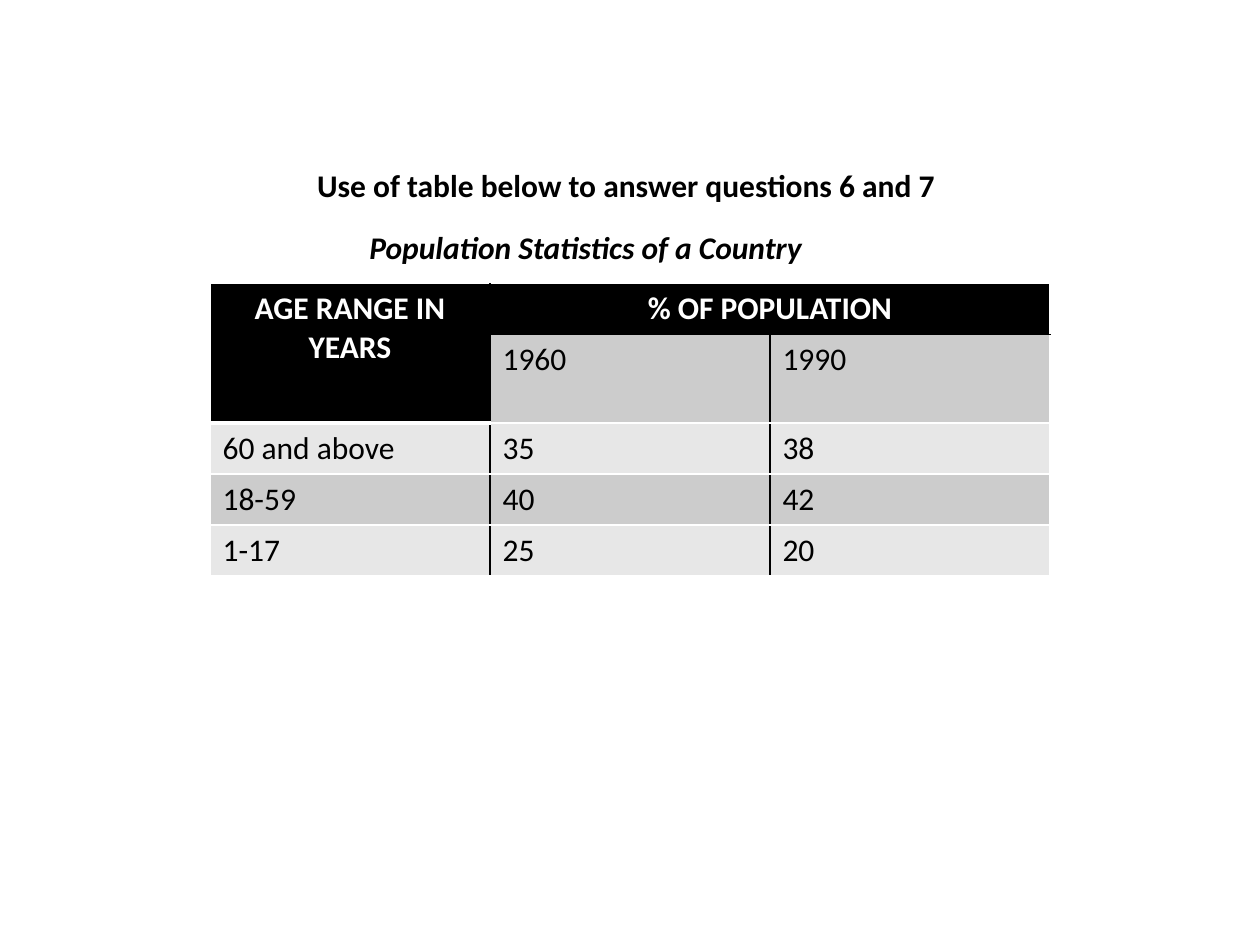
from dataclasses import dataclass

from lxml.etree import SubElement
from pptx import Presentation
from pptx.dml.color import RGBColor as Rgb
from pptx.enum.text import MSO_ANCHOR as Anchor, MSO_AUTO_SIZE as AutoSize, PP_ALIGN as Align
from pptx.oxml.ns import qn
from pptx.util import Pt


@dataclass(frozen=True)
class Theme:
    font: str = "Calibri"
    size: float = 18
    black: str = "000000"
    white: str = "FFFFFF"
    dark_band: str = "CCCCCC"
    light_band: str = "E7E7E7"
    rule: float = 1
    heavy_rule: float = 3


AGE_HEADING = "AGE RANGE IN YEARS"
SHARE_HEADING = "% OF POPULATION"
POPULATION = [
    [AGE_HEADING, SHARE_HEADING, ""],
    ["", "1960", "1990"],
    ["60 and above", "35", "38"],
    ["18-59", "40", "42"],
    ["1-17", "25", "20"],
]
ROW_HEIGHTS = [29.2, 49.5, 29.2, 29.2, 29.2]
COLUMN_WIDTH = 160


def write(frame, text, *, theme, color, bold=False, italic=False, align=Align.LEFT):
    paragraph = frame.paragraphs[0]
    paragraph.alignment = align
    run = paragraph.add_run()
    run.text = text
    font = run.font
    font.name, font.size = theme.font, Pt(theme.size)
    font.bold, font.italic = bold, italic
    font.color.rgb = Rgb.from_string(color)


class SlideBuilder:
    def __init__(self, slide, theme):
        self.slide, self.theme = slide, theme

    def _caption(self, shape, text, left, top, width, height, italic=False):
        shape.left, shape.top = Pt(left), Pt(top)
        shape.width, shape.height = Pt(width), Pt(height)
        frame = shape.text_frame
        frame.word_wrap = False
        frame.auto_size = AutoSize.SHAPE_TO_FIT_TEXT
        frame.vertical_anchor = Anchor.TOP
        write(frame, text, theme=self.theme, color=self.theme.black, bold=True, italic=italic)

    def title(self, text, *bounds):
        self._caption(self.slide.shapes.title, text, *bounds)

    def subtitle(self, text, *bounds):
        box = self.slide.shapes.add_textbox(0, 0, 0, 0)
        self._caption(box, text, *bounds, italic=True)

    def _horizontal_rule(self, line, column):
        """Colour and width of the rule above row number `line`."""
        theme = self.theme
        if line == 1 and column > 0:
            return theme.black, theme.rule
        if line == 2 and column == 0:
            return theme.white, theme.heavy_rule
        return theme.white, theme.rule

    def _vertical_rule(self, line, column_count):
        """Colour and width of the rule left of column number `line`."""
        theme = self.theme
        return (theme.black if 0 < line < column_count else theme.white), theme.rule

    def _borders(self, cell, row, column, column_count):
        right = column + (cell.span_width if cell.is_merge_origin else 1)
        bottom = row + (cell.span_height if cell.is_merge_origin else 1)
        edges = {
            "a:lnL": self._vertical_rule(column, column_count),
            "a:lnR": self._vertical_rule(right, column_count),
            "a:lnT": self._horizontal_rule(row, column),
            "a:lnB": self._horizontal_rule(bottom, column),
        }
        properties = cell._tc.get_or_add_tcPr()
        for tag, (color, width) in edges.items():
            line = SubElement(properties, qn(tag), w=str(Pt(width)))
            fill = SubElement(line, qn("a:solidFill"))
            SubElement(fill, qn("a:srgbClr"), val=color)

    def table(self, rows, left, top, column_width, row_heights):
        theme, column_count = self.theme, len(rows[0])
        table = self.slide.shapes.add_table(
            len(rows), column_count, Pt(left), Pt(top),
            Pt(column_width * column_count), Pt(sum(row_heights))).table
        table.first_row = table.horz_banding = False
        for column in table.columns:
            column.width = Pt(column_width)
        for row, height in zip(table.rows, row_heights):
            row.height = Pt(height)
        table.cell(0, 0).merge(table.cell(1, 0))
        table.cell(0, 1).merge(table.cell(0, column_count - 1))

        for r, texts in enumerate(rows):
            for c, text in enumerate(texts):
                cell = table.cell(r, c)
                if cell.is_spanned:
                    continue
                heading = cell.is_merge_origin
                band = theme.dark_band if r % 2 else theme.light_band
                self._borders(cell, r, c, column_count)
                cell.fill.solid()
                cell.fill.fore_color.rgb = Rgb.from_string(theme.black if heading else band)
                write(cell.text_frame, text, theme=theme, bold=heading,
                      color=theme.white if heading else theme.black,
                      align=Align.CENTER if heading else Align.LEFT)


def main():
    deck = Presentation()
    deck.slide_width, deck.slide_height = Pt(720), Pt(540)
    title_only = deck.slide_layouts[5]
    builder = SlideBuilder(deck.slides.add_slide(title_only), Theme())
    builder.title("Use of table below to answer questions 6 and 7", 174, 91, 375, 29)
    builder.subtitle("Population Statistics of a Country", 204, 127, 268.5, 29)
    builder.table(POPULATION, 120, 162, COLUMN_WIDTH, ROW_HEIGHTS)
    deck.save("out.pptx")


if __name__ == "__main__":
    main()
